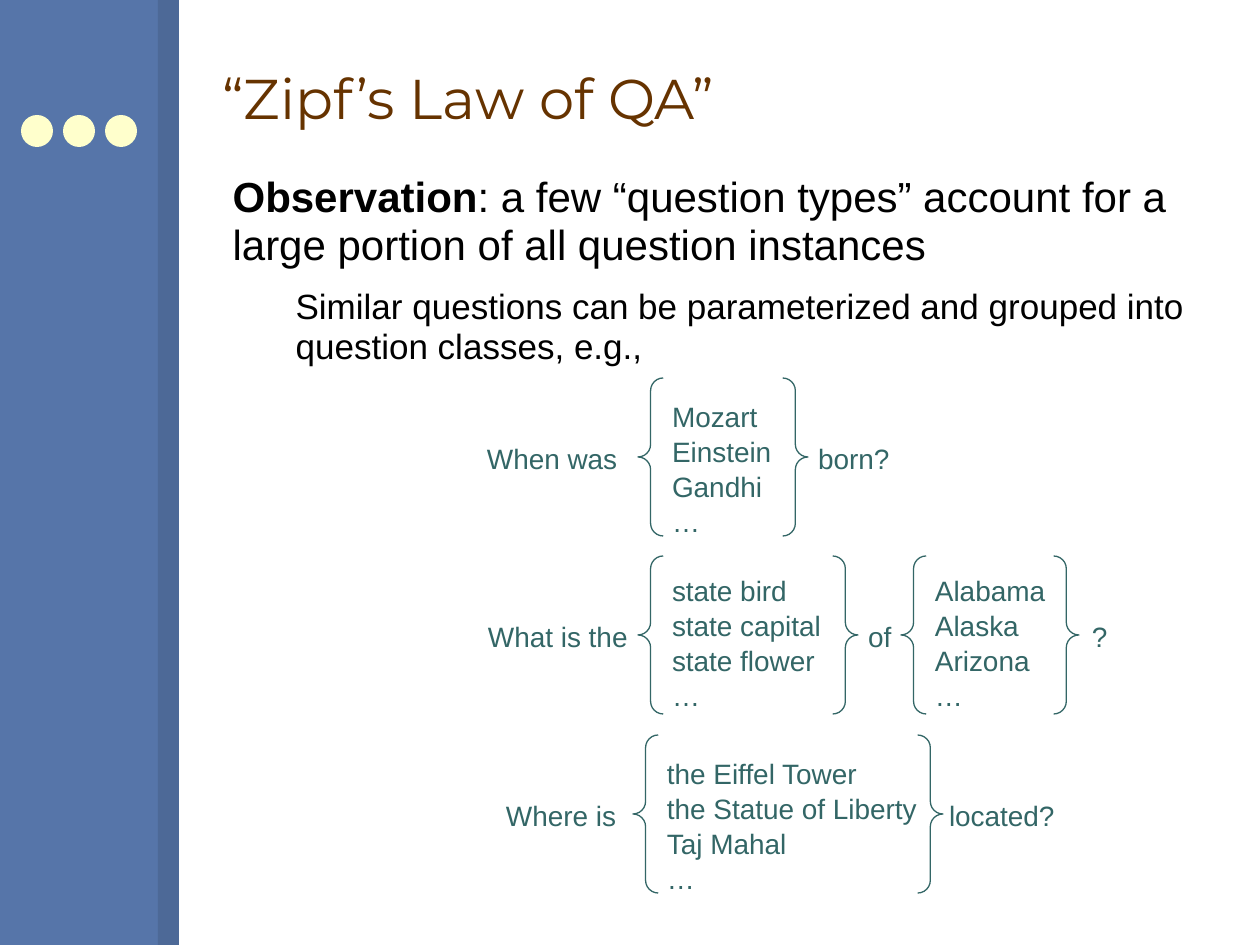
"""Build the “Zipf’s Law of QA” slide with its braced question templates."""
from dataclasses import dataclass

from lxml import etree
from pptx import Presentation
from pptx.dml.color import RGBColor
from pptx.enum.shapes import MSO_SHAPE
from pptx.enum.text import MSO_ANCHOR, MSO_AUTO_SIZE, PP_ALIGN
from pptx.oxml.ns import qn
from pptx.util import Emu, Pt

RECT, OVAL, BRACES = MSO_SHAPE.RECTANGLE, MSO_SHAPE.OVAL, MSO_SHAPE.DOUBLE_BRACE
LEFT = PP_ALIGN.LEFT
TOP, MIDDLE = MSO_ANCHOR.TOP, MSO_ANCHOR.MIDDLE
NO_AUTOFIT = MSO_AUTO_SIZE.NONE
PX_PER_INCH = 126
BRACE_HEIGHT = 158
LABEL_DROP = 62
LIST_INDENT = 34
LINE_HEIGHT = 34


@dataclass(frozen=True)
class Theme:
    sidebar: str = "5675A9"
    stripe: str = "4D6997"
    dot: str = "FFFFCC"
    title: str = "663300"
    body: str = "000000"
    question: str = "336666"
    title_font: str = "Montserrat"
    body_font: str = "Arial"
    title_size: int = 32
    observation_size: int = 24
    detail_size: int = 20
    question_size: int = 16
    brace_line: float = 0.75


@dataclass(frozen=True)
class Label:
    text: str
    left: int
    width: int


@dataclass(frozen=True)
class Choices:
    left: int
    width: int
    items: tuple[str, ...]


@dataclass(frozen=True)
class Question:
    top: int
    list_drop: int
    labels: tuple[Label, ...]
    choices: tuple[Choices, ...]


@dataclass(frozen=True)
class Point:
    level: int
    indent: int
    size: int
    before: float
    after: float
    runs: tuple[tuple[str, bool], ...]


THEME = Theme()

POINTS = (
    Point(0, 0, THEME.observation_size, 0, 7.5, (
        ("Observation", True),
        (": a few “question types” account for a large portion of all question instances", False),
    )),
    Point(1, 63, THEME.detail_size, 2.5, 2.5, (
        ("Similar questions can be parameterized and grouped into question classes, e.g.,", False),
    )),
)

QUESTIONS = (
    Question(378, 20,
             (Label("When was", 487, 140), Label("born?", 818, 80)),
             (Choices(638, 170, ("Mozart", "Einstein", "Gandhi", "…")),)),
    Question(556, 16,
             (Label("What is the", 488, 146), Label("of", 868, 30), Label("?", 1092, 24)),
             (Choices(638, 220, ("state bird", "state capital", "state flower", "…")),
              Choices(901, 178, ("Alabama", "Alaska", "Arizona", "…")))),
    Question(735, 20,
             (Label("Where is", 506, 120), Label("located?", 949, 120)),
             (Choices(633, 310, ("the Eiffel Tower", "the Statue of Liberty", "Taj Mahal", "…")),)),
)


def px(length: int) -> Emu:
    return Emu(round(length * 914400 / PX_PER_INCH))


def place(shape, left: int, top: int, width: int, height: int) -> None:
    shape.left, shape.top = px(left), px(top)
    shape.width, shape.height = px(width), px(height)


def add_run(paragraph, text: str, size: int, color: str, font: str, bold: bool = False) -> None:
    run = paragraph.add_run()
    run.text = text
    run.font.name, run.font.size, run.font.bold = font, Pt(size), bold
    run.font.color.rgb = RGBColor.from_string(color)


def add_block(slide, kind, left: int, top: int, width: int, height: int, color: str) -> None:
    block = slide.shapes.add_shape(kind, px(left), px(top), px(width), px(height))
    block.shadow.inherit = False
    block.fill.solid()
    block.fill.fore_color.rgb = RGBColor.from_string(color)
    block.line.fill.background()


def add_sidebar(slide) -> None:
    add_block(slide, RECT, 0, 0, 158, 945, THEME.sidebar)
    add_block(slide, RECT, 158, 0, 21, 945, THEME.stripe)
    for column in range(3):
        add_block(slide, OVAL, 21 + 42 * column, 115, 32, 32, THEME.dot)


def fill_title(title) -> None:
    place(title, 210, 26, 1008, 142)
    title.text_frame.vertical_anchor = MIDDLE
    title.text_frame.auto_size = NO_AUTOFIT
    paragraph = title.text_frame.paragraphs[0]
    paragraph.alignment = LEFT
    add_run(paragraph, "“Zipf’s Law of QA”", THEME.title_size, THEME.title, THEME.title_font)


def fill_body(body, points: tuple[Point, ...]) -> None:
    place(body, 220, 168, 998, 735)
    frame = body.text_frame
    frame.auto_size = NO_AUTOFIT
    for index, point in enumerate(points):
        paragraph = frame.add_paragraph() if index else frame.paragraphs[0]
        properties = paragraph._p.get_or_add_pPr()
        properties.set("marL", str(px(point.indent)))
        properties.set("indent", "0")
        etree.SubElement(properties, qn("a:buNone"))
        paragraph.level = point.level
        paragraph.line_spacing = 0.95
        paragraph.space_before, paragraph.space_after = Pt(point.before), Pt(point.after)
        for text, bold in point.runs:
            add_run(paragraph, text, point.size, THEME.body, THEME.body_font, bold)


def add_lines(slide, left: int, top: int, width: int, lines: tuple[str, ...]) -> None:
    box = slide.shapes.add_textbox(px(left), px(top), px(width), px(LINE_HEIGHT * len(lines)))
    frame = box.text_frame
    frame.word_wrap = False
    frame.vertical_anchor = TOP
    frame.margin_left = frame.margin_right = frame.margin_top = frame.margin_bottom = 0
    for index, line in enumerate(lines):
        paragraph = frame.add_paragraph() if index else frame.paragraphs[0]
        paragraph.alignment = LEFT
        paragraph.line_spacing = 1.04
        add_run(paragraph, line, THEME.question_size, THEME.question, THEME.body_font)


def add_braces(slide, left: int, top: int, width: int) -> None:
    braces = slide.shapes.add_shape(BRACES, px(left), px(top), px(width), px(BRACE_HEIGHT))
    braces.shadow.inherit = False
    braces.adjustments[0] = 0.08
    braces.fill.background()
    braces.line.color.rgb = RGBColor.from_string(THEME.question)
    braces.line.width = Pt(THEME.brace_line)


def add_question(slide, question: Question) -> None:
    for label in question.labels:
        add_lines(slide, label.left, question.top + LABEL_DROP, label.width, (label.text,))
    for choices in question.choices:
        add_lines(slide, choices.left + LIST_INDENT, question.top + question.list_drop,
                  choices.width - 2 * LIST_INDENT + 8, choices.items)
        add_braces(slide, choices.left, question.top, choices.width)


def main() -> None:
    deck = Presentation()
    deck.slide_width, deck.slide_height = px(1260), px(945)
    slide = deck.slides.add_slide(deck.slide_layouts[1])
    add_sidebar(slide)
    fill_title(slide.shapes.title)
    fill_body(slide.placeholders[1], POINTS)
    for question in QUESTIONS:
        add_question(slide, question)
    deck.save("out.pptx")


if __name__ == "__main__":
    main()
